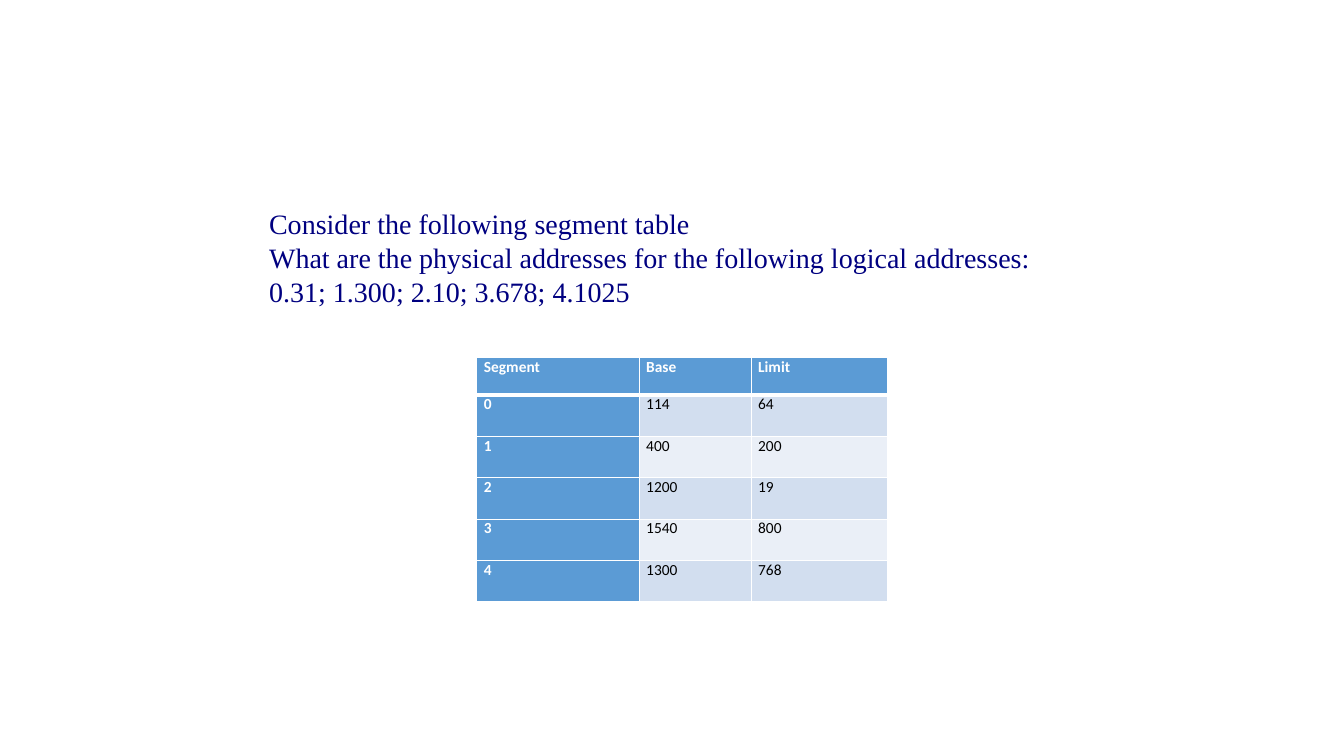
from dataclasses import dataclass
from pptx import Presentation
from pptx.dml.color import RGBColor as RGB
from pptx.enum.text import MSO_ANCHOR as Anchor, PP_ALIGN as Align
from pptx.oxml import parse_xml
from pptx.oxml.ns import nsdecls
from pptx.util import Inches, Pt


@dataclass
class Theme:
    navy: str = "000080"
    blue: str = "5B9BD5"
    bands: tuple = ("D2DEEF", "EAEFF7")
    white: str = "FFFFFF"
    black: str = "000000"
    serif: str = "Times New Roman"
    sans: str = "Calibri"
    big: int = 20
    small: int = 11


theme = Theme()
deck = Presentation()
deck.slide_width, deck.slide_height = Inches(13.33), Inches(7.5)
slide = deck.slides.add_slide(deck.slide_layouts[6])

# Lengths are percent of the slide's width and height
def across(share):
    return int(deck.slide_width * share / 100)


def down(share):
    return int(deck.slide_height * share / 100)


# Question
box = slide.shapes.add_textbox(across(19.28), down(26.53), across(60), down(19.33))
frame = box.text_frame
frame.word_wrap = True
frame.vertical_anchor = Anchor.MIDDLE
frame.margin_bottom = down(5)
lines = (
    "Consider the following segment table",
    "What are the physical addresses for the following logical addresses: "
    "0.31; 1.300; 2.10; 3.678; 4.1025",
)
frame.text = "\n".join(lines)
for para in frame.paragraphs:
    font = para.font
    font.name, font.size = theme.serif, Pt(theme.big)
    font.color.rgb = RGB.from_string(theme.navy)

# Segment table
data = [
    ("Segment", "Base", "Limit"),
    ("0", "114", "64"),
    ("1", "400", "200"),
    ("2", "1200", "19"),
    ("3", "1540", "800"),
    ("4", "1300", "768"),
]
wide = [across(share) for share in (12.08, 8.33, 10.13)]
high = [down(4.93)] + [down(5.47)] * 5
table = slide.shapes.add_table(
    len(data), len(wide), across(35.48), down(47.33), sum(wide), sum(high)
).table
table.first_col = True
for col, width in zip(table.columns, wide):
    col.width = width
for row, height in zip(table.rows, high):
    row.height = height

for r, row in enumerate(data):
    for c, text in enumerate(row):
        cell = table.cell(r, c)
        head = r == 0 or c == 0
        cell.margin_left = cell.margin_right = Inches(0.07)
        cell.margin_top = cell.margin_bottom = 0
        cell.fill.solid()
        cell.fill.fore_color.rgb = RGB.from_string(
            theme.blue if head else theme.bands[(r - 1) % 2]
        )

        # White borders, thick below the header
        edges = {"L": 1, "R": 1, "T": 3 if r == 1 else 1, "B": 3 if r == 0 else 1}
        for i, (side, size) in enumerate(edges.items()):
            cell._tc.get_or_add_tcPr().insert(i, parse_xml(
                f'<a:ln{side} {nsdecls("a")} w="{Pt(size)}"><a:solidFill>'
                f'<a:srgbClr val="{theme.white}"/></a:solidFill></a:ln{side}>'
            ))

        # Text with a right tab stop
        cell.text = text
        para = cell.text_frame.paragraphs[0]
        para.alignment = Align.JUSTIFY
        para._p.get_or_add_pPr().append(parse_xml(
            f'<a:tabLst {nsdecls("a")}><a:tab pos="{Inches(7)}" algn="r"/></a:tabLst>'
        ))
        font = para.font
        font.name, font.size, font.bold = theme.sans, Pt(theme.small), head
        font.color.rgb = RGB.from_string(theme.white if head else theme.black)

deck.save("out.pptx")
